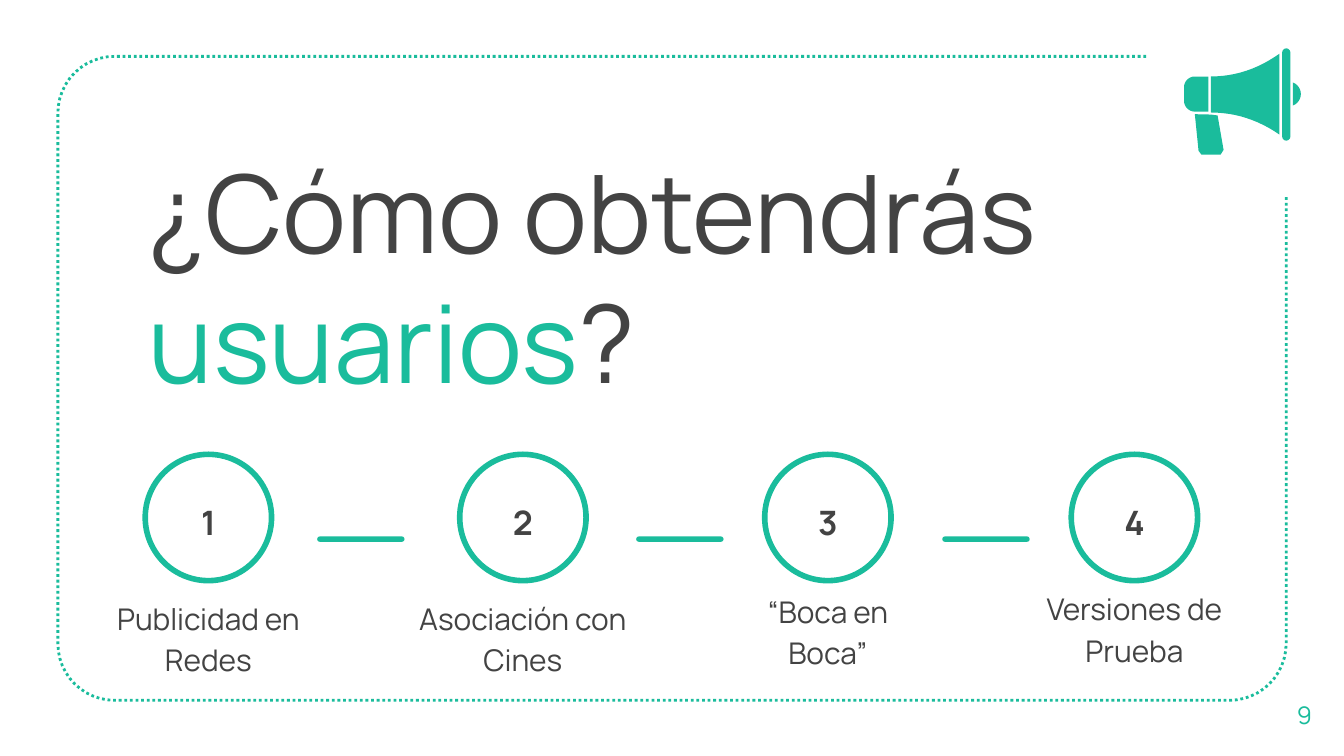
from dataclasses import dataclass
from math import cos, radians, sin

from pptx import Presentation
from pptx.dml.color import RGBColor
from pptx.enum.dml import MSO_LINE
from pptx.enum.shapes import MSO_SHAPE
from pptx.enum.text import MSO_ANCHOR, PP_ALIGN
from pptx.util import Pt


@dataclass(frozen=True)
class Theme:
    accent = RGBColor(0x1A, 0xBC, 0x9C)
    dark = RGBColor(0x43, 0x43, 0x43)
    font = "Manrope"
    title = 58
    number = 18
    caption = 16
    page = 13


THEME = Theme()


def arc(cx, cy, radius, start, end, steps=12):
    """Points on a circle; angles in degrees, clockwise from the right."""
    angles = [radians(start + (end - start) * i / steps) for i in range(steps + 1)]
    return [(cx + radius * cos(a), cy + radius * sin(a)) for a in angles]


def curve(start, control, end, steps=12):
    """Points on a quadratic Bézier curve."""
    ts = [i / steps for i in range(steps + 1)]
    return [tuple((1 - t) ** 2 * a + 2 * t * (1 - t) * b + t * t * c
                  for a, b, c in zip(start, control, end)) for t in ts]


def paint(sp, fill=None, line=None):
    """Fill and outline a shape; line is a width in points."""
    sp.shadow.inherit = False
    if fill is None:
        sp.fill.background()
    else:
        sp.fill.solid()
        sp.fill.fore_color.rgb = fill
    if line is None:
        sp.line.fill.background()
    else:
        sp.line.color.rgb = THEME.accent
        sp.line.width = Pt(line)


def add_preset(shapes, kind, box, **style):
    sp = shapes.add_shape(kind, *map(Pt, box))
    paint(sp, **style)
    return sp


def add_outline(shapes, points, origin=(0, 0), close=True, **style):
    left, top = origin
    pts = [(Pt(left + x), Pt(top + y)) for x, y in points]
    builder = shapes.build_freeform(*pts[0], scale=1.0)
    builder.add_line_segments(pts[1:], close=close)
    sp = builder.convert_to_shape()
    paint(sp, **style)
    return sp


def add_text(s, box, text, size, color=THEME.dark, bold=False,
             align=PP_ALIGN.CENTER, anchor=MSO_ANCHOR.TOP, spacing=None):
    tf = s.shapes.add_textbox(*map(Pt, box)).text_frame
    tf.word_wrap = True
    tf.vertical_anchor = anchor
    tf.margin_left = tf.margin_right = tf.margin_top = tf.margin_bottom = Pt(7.2)
    tf.text = text
    for p in tf.paragraphs:
        p.alignment = align
        p.line_spacing = spacing
        for r in p.runs:
            style_run(r, size, color, bold)
    return tf


def style_run(r, size, color, bold=False):
    r.font.name = THEME.font
    r.font.size = Pt(size)
    r.font.color.rgb = color
    r.font.bold = bold


def add_frame(s, box, radius=30.4, top_end=614, right_end=105):
    """Dotted rounded frame, open at its top right corner."""
    left, top, width, height = box
    right, bottom = left + width, top + height
    points = [(top_end, top),
              *arc(left + radius, top + radius, radius, -90, -180),
              *arc(left + radius, bottom - radius, radius, 180, 90),
              *arc(right - radius, bottom - radius, radius, 90, 0),
              (right, right_end)]
    sp = add_outline(s.shapes, points, close=False, line=1.5)
    sp.line.dash_style = MSO_LINE.ROUND_DOT


def add_title(s, box):
    tf = add_text(s, box, "¿Cómo obtendrás ", THEME.title, align=PP_ALIGN.LEFT)
    for text, color in (("usuarios", THEME.accent), ("?", THEME.dark)):
        r = tf.paragraphs[0].add_run()
        r.text = text
        style_run(r, THEME.title, color)


def add_step(s, box, number, caption, caption_top):
    """Numbered ring filling the box, with its caption centred below."""
    left, top, size, _ = box
    center = left + size / 2
    add_preset(s.shapes, MSO_SHAPE.OVAL, box, line=3)
    add_text(s, (center - 23.4, top + 15.1, 46.8, 25.2), str(number),
             THEME.number, bold=True, spacing=1.15)
    add_text(s, (center - 67.3, caption_top, 134.6, 35.3), caption,
             THEME.caption, anchor=MSO_ANCHOR.BOTTOM, spacing=1.15)


def add_bar(shapes, box):
    sp = add_preset(shapes, MSO_SHAPE.ROUNDED_RECTANGLE, box, fill=THEME.accent)
    sp.adjustments[0] = 0.5


def add_steps(s, box):
    left, top, _, size = box
    steps = [(0, "Publicidad en Redes", 334.8),
             (168.5, "Asociación con Cines", 334.8),
             (331.9, "“Boca en\nBoca”", 331.2),
             (496.1, "Versiones de Prueba", 329.8)]
    for number, (dx, caption, caption_top) in enumerate(steps, 1):
        add_step(s, (left + dx, top, size, size), number, caption, caption_top)
    for dx in (92.1, 263, 427):
        add_bar(s.shapes, (left + dx, top + 44, 46.8, 2.9))


def add_megaphone(s, box):
    left, top, width, height = box
    shapes = s.shapes.add_group_shape().shapes
    handle = [(5.8, 35.3), (7.8, 54.9), (9.4, height), (19.6, height),
              (21.2, 54.4), (18, 36), (14.4, 35.5)]
    cap = arc(width - 6.6, 24.5, 6.6, -70, 70)
    back = [(13, 15.1), *arc(5.8, 20.9, 5.8, -90, -180),
            *arc(5.8, 28.1, 5.8, 180, 90), (13, 33.9)]
    horn = [*curve((51.1, 2.9), (34, 15.1), (14.4, 15.1)),
            *curve((14.4, 34.4), (34, 34.4), (51.1, 46.2))]
    for points in (handle, cap, back, horn):
        add_outline(shapes, points, (left, top), fill=THEME.accent)
    add_bar(shapes, (left + 52.6, top, 4.4, 49.5))


def main():
    prs = Presentation()
    prs.slide_width, prs.slide_height = Pt(720), Pt(405)
    s = prs.slides.add_slide(prs.slide_layouts[6])
    add_frame(s, (31, 30.2, 658, 345))
    add_title(s, (72.7, 70.6, 540.7, 67.7))
    add_text(s, (677.5, 361.5, 42.5, 43.2), "9", THEME.page, THEME.accent,
             anchor=MSO_ANCHOR.MIDDLE)
    add_steps(s, (77.8, 243.4, 563.8, 67.7))
    add_megaphone(s, (634.3, 25.9, 62.6, 57))
    prs.save("out.pptx")


if __name__ == "__main__":
    main()
